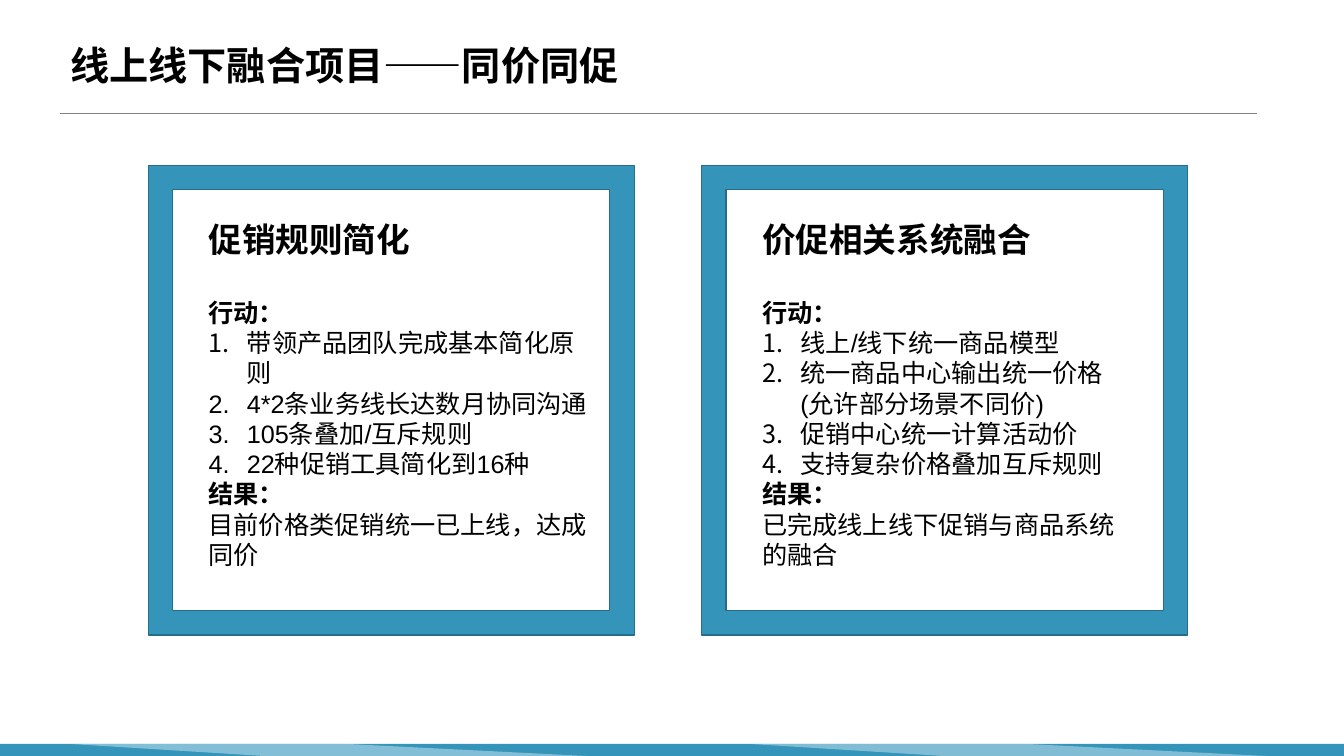
from lxml.etree import SubElement
from pptx import Presentation
from pptx.dml.color import RGBColor
from pptx.enum.shapes import MSO_CONNECTOR, MSO_SHAPE
from pptx.enum.text import MSO_ANCHOR, MSO_AUTO_SIZE
from pptx.oxml.ns import qn
from pptx.util import Inches, Pt

BLUE, EDGE, PALE, GRAY, BLACK = "3494BA", "266D8A", "D4EAF3", "808080", "000000"
CJK = "Noto Sans CJK SC"
TITLE = dict(size=Pt(28), bold=True, name=CJK)
HEADING = dict(size=Pt(24), bold=True, name="Arial")
LABEL = dict(size=Pt(18), bold=True, name="Arial")
BODY = dict(LABEL, bold=False)

CARDS = [
    dict(heading="促销规则简化", heading_w=2.22, body_w=4.05,
         actions=["带领产品团队完成基本简化原则", "4*2条业务线长达数月协同沟通",
                  "105条叠加/互斥规则", "22种促销工具简化到16种"],
         result="目前价格类促销统一已上线，达成同价"),
    dict(heading="价促相关系统融合", heading_w=2.89, body_w=3.82,
         actions=["线上/线下统一商品模型", "统一商品中心输出统一价格(允许部分场景不同价)",
                  "促销中心统一计算活动价", "支持复杂价格叠加互斥规则"],
         result="已完成线上线下促销与商品系统的融合"),
]


def rgb(value):
    return RGBColor.from_string(value)


def paint(sp, fill, line=None, alpha=None):
    sp.shadow.inherit = False
    sp.fill.solid()
    sp.fill.fore_color.rgb = rgb(fill)
    if alpha:
        color = sp._element.spPr.find(qn("a:solidFill"))[0]
        SubElement(color, qn("a:alpha"), val=str(alpha * 1000))
    if line:
        sp.line.color.rgb = rgb(line)
        sp.line.width = Pt(1)
    else:
        sp.line.fill.background()


def add_text(s, x, y, w, h, lines, **frame):
    tf = s.shapes.add_textbox(Inches(x), Inches(y), Inches(w), Inches(h)).text_frame
    for key, value in dict(dict(word_wrap=True), **frame).items():
        setattr(tf, key, value)
    for i, (text, style, numbered) in enumerate(lines):
        p = tf.add_paragraph() if i else tf.paragraphs[0]
        r = p.add_run()
        r.text = text
        for key, value in style.items():
            setattr(r.font, key, value)
        r.font.color.rgb = rgb(BLACK)
        SubElement(r._r.get_or_add_rPr(), qn("a:ea"), typeface=CJK)
        if numbered:
            pPr = p._p.get_or_add_pPr()
            pPr.set("marL", str(Inches(0.38)))
            pPr.set("indent", str(-Inches(0.38)))
            SubElement(pPr, qn("a:buFont"), typeface="+mj-lt")
            SubElement(pPr, qn("a:buAutoNum"), type="arabicPeriod")
    return tf


def add_footer(s, x, y, w, h):
    sp = s.shapes.add_shape(MSO_SHAPE.RECTANGLE, Inches(x), Inches(y), Inches(w), Inches(h))
    paint(sp, BLUE)
    for left, alpha in ((0.69, 49), (7.43, 48)):
        points = [(Inches(x + left + dx), Inches(y + dy))
                  for dx, dy in ((5.13, h), (2.75, 0), (0, 0), (1.93, h))]
        builder = s.shapes.build_freeform(*points[0])
        builder.add_line_segments(points[1:], close=True)
        paint(builder.convert_to_shape(), PALE, alpha=alpha)


def add_header(s, x, y, w, h):
    rule = s.shapes.add_connector(MSO_CONNECTOR.STRAIGHT, Inches(x), Inches(y + h),
                                  Inches(x + w), Inches(y + h))
    rule.line.color.rgb = rgb(GRAY)
    rule.line.width = Pt(0.5)
    SubElement(rule._element.spPr, qn("a:effectLst"))
    tf = add_text(s, x, y, w, h, [("线上线下融合项目——同价同促", TITLE, False)],
                  vertical_anchor=MSO_ANCHOR.MIDDLE)
    tf.paragraphs[0].line_spacing = 0.9


def add_card(s, x, y, w, h, card):
    add_text(s, x + 0.5, y + 0.48, card["heading_w"], 0.5,
             [(card["heading"], HEADING, False)],
             word_wrap=False, auto_size=MSO_AUTO_SIZE.SHAPE_TO_FIT_TEXT)
    lines = [("行动：", LABEL, False)]
    lines += [(action, BODY, True) for action in card["actions"]]
    lines += [("结果：", LABEL, False), (card["result"], BODY, False)]
    add_text(s, x + 0.5, y + 1.26, card["body_w"], 2.83, lines,
             auto_size=MSO_AUTO_SIZE.SHAPE_TO_FIT_TEXT)
    sp = s.shapes.add_shape(MSO_SHAPE.FRAME, Inches(x), Inches(y), Inches(w), Inches(h))
    sp.adjustments[0] = 0.052
    paint(sp, BLUE, EDGE)


prs = Presentation()
prs.slide_width, prs.slide_height = Inches(13.33), Inches(7.5)
s = prs.slides.add_slide(prs.slide_layouts[6])
add_footer(s, 0, 7.38, 13.33, 0.12)
add_header(s, 0.6, 0.23, 11.87, 0.89)
for i, card in enumerate(CARDS):
    add_card(s, 1.47 + i * 5.49, 1.64, 4.82, 4.66, card)
prs.save("out.pptx")
